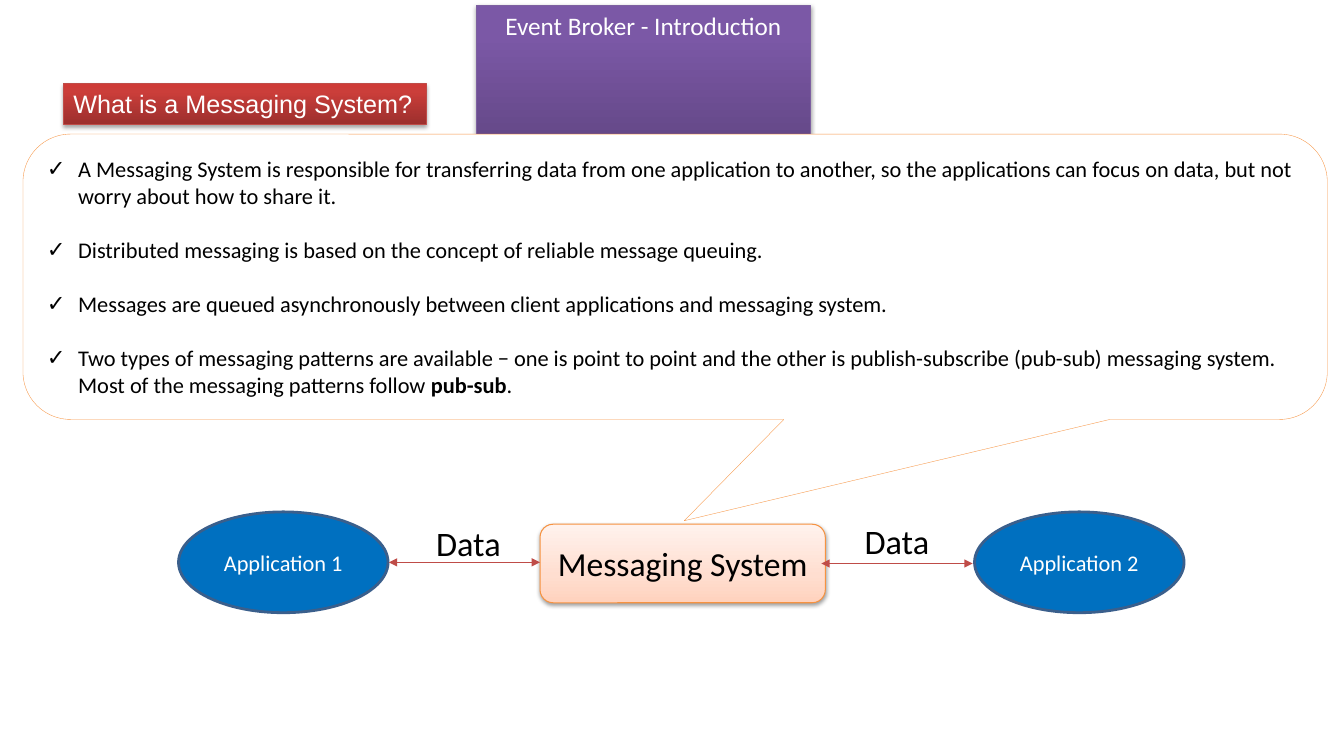
from dataclasses import dataclass
from typing import Optional

from lxml.etree import SubElement
from pptx import Presentation
from pptx.dml.color import RGBColor
from pptx.enum.shapes import MSO_CONNECTOR, MSO_SHAPE
from pptx.enum.text import MSO_ANCHOR, MSO_AUTO_SIZE, PP_ALIGN
from pptx.oxml.ns import qn
from pptx.util import Cm, Pt

COLOURS = {
    "white": "FFFFFF", "black": "000000", "blue": "0070C0", "navy": "3A5F8C",
    "red": "BF4C48", "purple": "7D60A0", "orange": "F69240", "callout": "F79646",
}
GRADIENTS = {
    "purple": [(0, "5F4480"), (80, "7B58A6"), (100, "7C57A8")],
    "peach": [(0, "FFD2BD"), (35, "FFDED0"), (100, "FFF2ED")],
    "red": [(0, "9C2F2D"), (80, "CB3E3A"), (100, "CE3B37")],
}


@dataclass
class Look:
    fill: str
    line: str
    line_width: float = 0.75
    shadow_opacity: Optional[int] = None
    shadow_distance: float = 1.8


@dataclass
class Node:
    kind: MSO_SHAPE
    place: tuple[float, float, float, float]
    text: str
    size: float
    text_colour: str
    look: Look


@dataclass
class DataLink:
    start: float
    end: float
    height: float
    label_left: float
    label_top: float


def colour(name: str) -> RGBColor:
    return RGBColor.from_string(COLOURS[name])


def style_shape(shape, look: Look) -> None:
    """Apply fill, outline and shadow."""
    properties = shape._element.spPr
    if look.fill in GRADIENTS:
        shape.fill.gradient()
        shape.fill.gradient_angle = 90
        stops = properties.find(".//" + qn("a:gsLst"))
        for stop in list(stops):
            stops.remove(stop)
        for position, value in GRADIENTS[look.fill]:
            stop = SubElement(stops, qn("a:gs"), pos=str(position * 1000))
            SubElement(stop, qn("a:srgbClr"), val=value)
    else:
        shape.fill.solid()
        shape.fill.fore_color.rgb = colour(look.fill)
    shape.line.color.rgb = colour(look.line)
    shape.line.width = Pt(look.line_width)
    shape.shadow.inherit = False
    if look.shadow_opacity:
        shadow = SubElement(
            properties.find(qn("a:effectLst")), qn("a:outerShdw"),
            blurRad=str(Pt(3.1)), dist=str(Pt(look.shadow_distance)),
            dir="5400000", rotWithShape="0")
        tone = SubElement(shadow, qn("a:srgbClr"), val=COLOURS["black"])
        SubElement(tone, qn("a:alpha"), val=str(look.shadow_opacity * 1000))


def add_run(para, text: str, size: float, text_colour: str,
            font: str = "Calibri", bold: bool = False) -> None:
    span = para.add_run()
    span.text = text
    span.font.name = font
    span.font.size = Pt(size)
    span.font.bold = bold
    span.font.color.rgb = colour(text_colour)


def set_frame(box, align: PP_ALIGN, anchor: MSO_ANCHOR,
              grow: bool = False, wrap: bool = True):
    """Set the text layout and return the first paragraph."""
    frame = box.text_frame
    frame.word_wrap = wrap
    frame.vertical_anchor = anchor
    frame.auto_size = MSO_AUTO_SIZE.SHAPE_TO_FIT_TEXT if grow else MSO_AUTO_SIZE.NONE
    para = frame.paragraphs[0]
    para.alignment = align
    return para


def add_node(page, node: Node) -> None:
    box = page.shapes.add_shape(node.kind, *map(Cm, node.place))
    style_shape(box, node.look)
    para = set_frame(box, PP_ALIGN.CENTER, MSO_ANCHOR.MIDDLE)
    add_run(para, node.text, node.size, node.text_colour)


def add_data_link(page, link: DataLink) -> None:
    """Draw a two-headed arrow and its label."""
    arrow = page.shapes.add_connector(
        MSO_CONNECTOR.STRAIGHT, Cm(link.start), Cm(link.height),
        Cm(link.end), Cm(link.height))
    arrow.line.color.rgb = colour("red")
    arrow.line.width = Pt(0.75)
    for end in ("a:headEnd", "a:tailEnd"):
        SubElement(arrow.line._get_or_add_ln(), qn(end), type="triangle")
    SubElement(arrow._element.spPr, qn("a:effectLst"))
    label = page.shapes.add_textbox(
        Cm(link.label_left), Cm(link.label_top), Cm(2.16), Cm(1.3))
    para = set_frame(label, PP_ALIGN.LEFT, MSO_ANCHOR.TOP, grow=True, wrap=False)
    add_run(para, "Data", 24.5, "black")


def add_check_mark(para) -> None:
    properties = para._p.get_or_add_pPr()
    properties.set("marL", str(Cm(0.79)))
    properties.set("indent", str(-Cm(0.79)))
    SubElement(properties, qn("a:buFont"), typeface="Arial")
    SubElement(properties, qn("a:buChar"), char="✓")


deck = Presentation()
deck.slide_width, deck.slide_height = Cm(33.87), Cm(19.05)
page = deck.slides.add_slide(deck.slide_layouts[5])

# Title
title = page.shapes.title
title.left, title.top, title.width, title.height = map(Cm, (12.01, 0.13, 8.41, 1.02))
style_shape(title, Look("purple", "purple", shadow_opacity=35))
title_para = set_frame(title, PP_ALIGN.CENTER, MSO_ANCHOR.TOP, grow=True)
add_run(title_para, "Event Broker - Introduction", 18, "white")

# Applications and the messaging system between them
application = Look("blue", "navy", 2)
for node in (
    Node(MSO_SHAPE.ROUNDED_RECTANGLE, (13.61, 13.21, 7.19, 1.98), "Messaging System",
         24, "black", Look("peach", "orange", 0.75, 38, 1.6)),
    Node(MSO_SHAPE.OVAL, (4.5, 12.9, 5.28, 2.54), "Application 1", 16, "white", application),
    Node(MSO_SHAPE.OVAL, (24.56, 12.9, 5.28, 2.54), "Application 2", 16, "white", application),
):
    add_node(page, node)

# Data exchange
for link in (DataLink(9.8, 13.61, 14.17, 10.74, 13.03),
             DataLink(20.7, 24.51, 14.2, 21.54, 12.98)):
    add_data_link(page, link)

# Callout with the explanation: each point is a list of (text, bold)
POINTS = [
    [("A Messaging System is responsible for transferring data from one application to "
      "another, so the applications can focus on data, but not worry about how to "
      "share it.", False)],
    [("Distributed messaging is based on the concept of reliable message queuing.", False)],
    [("Messages are queued asynchronously between client applications and messaging "
      "system.", False)],
    [("Two types of messaging patterns are available − one is point to point and the "
      "other is publish-subscribe (pub-sub) messaging system. Most of the messaging "
      "patterns follow\u00a0", False), ("pub-sub", True), (".", False)],
]
callout = page.shapes.add_shape(
    MSO_SHAPE.ROUNDED_RECTANGULAR_CALLOUT, *map(Cm, (0.58, 3.38, 32.87, 7.19)))
for index, value in enumerate((0.007, 0.855, 0.167)):
    callout.adjustments[index] = value
style_shape(callout, Look("white", "callout", 0.25))
point_para = set_frame(callout, PP_ALIGN.LEFT, MSO_ANCHOR.MIDDLE)
for index, point in enumerate(POINTS):
    if index:
        point_para = callout.text_frame.add_paragraph()
        point_para.alignment = PP_ALIGN.LEFT
        point_para.space_before = Pt(19.5)
    add_check_mark(point_para)
    for text, bold in point:
        add_run(point_para, text, 16, "black", bold=bold)

# Question heading
heading = page.shapes.add_shape(MSO_SHAPE.RECTANGLE, *map(Cm, (1.6, 2.11, 9.14, 1.02)))
style_shape(heading, Look("red", "red", shadow_opacity=35))
heading_para = set_frame(heading, PP_ALIGN.LEFT, MSO_ANCHOR.TOP, grow=True, wrap=False)
add_run(heading_para, "What is a Messaging System?", 18, "white", font="Arial")

deck.save("out.pptx")
